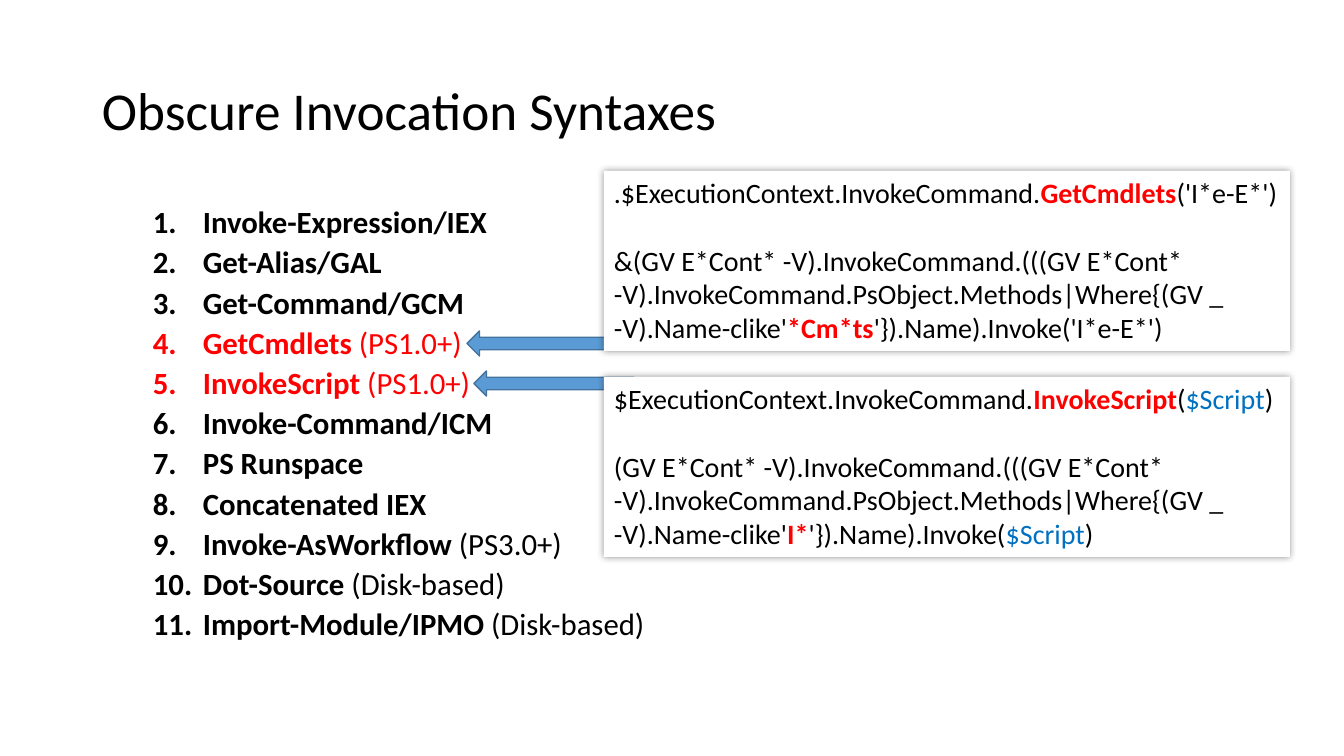
import pptx
import pptx.dml.color
import pptx.enum.shapes
import pptx.enum.text
import pptx.oxml.ns
import pptx.util
from lxml import etree

# Content
TITLE = "Obscure Invocation Syntaxes"
METHODS = [
    ("Invoke-Expression/IEX", ""),
    ("Get-Alias/GAL", ""),
    ("Get-Command/GCM", ""),
    ("GetCmdlets", " (PS1.0+)"),
    ("InvokeScript", " (PS1.0+)"),
    ("Invoke-Command/ICM", ""),
    ("PS Runspace", ""),
    ("Concatenated IEX", ""),
    ("Invoke-AsWorkflow", " (PS3.0+)"),
    ("Dot-Source", " (Disk-based)"),
    ("Import-Module/IPMO", " (Disk-based)"),
]
MARKED = ("GetCmdlets", "InvokeScript")
LOOKUP = ("(GV E*Cont* -V).InvokeCommand.(((GV E*Cont* -V).InvokeCommand."
          "PsObject.Methods|Where{(GV _ -V).Name-clike'")
# Each run is (text, colour name, bold)
SAMPLES = [
    [
        [(".$ExecutionContext.InvokeCommand.", "ink", False),
         ("GetCmdlets", "mark", True), ("('I*e-E*')", "ink", False)],
        [("&" + LOOKUP, "ink", False), ("*Cm*ts", "mark", True),
         ("'}).Name).Invoke('I*e-E*')", "ink", False)],
    ],
    [
        [("$ExecutionContext.InvokeCommand.", "ink", False),
         ("InvokeScript", "mark", True), ("(", "ink", False),
         ("$Script", "var", False), (")", "ink", False)],
        [(LOOKUP, "ink", False), ("I*", "mark", True),
         ("'}).Name).Invoke(", "ink", False),
         ("$Script", "var", False), (")", "ink", False)],
    ],
]

# Theme: colours and type sizes
THEME = {
    "font": "Calibri", "title": 38, "list": 22, "code": 20,
    "ink": "000000", "mark": "FF0000", "var": "0070C0",
    "paper": "FFFFFF", "arrow": "5B9BD5", "edge": "43739E",
}

# Layout in px
SCALE = 914400 / 100.8
TITLE_BOX = (92, 40, 1159, 146)
LIST_BOX = (92, 202, 1241, 480)
CODE_LEFT, CODE_TOP, CODE_W, CODE_H, CODE_STEP = 604, 171, 686, 180, 206
ARROW_TOP, ARROW_W, ARROW_H, ARROW_STEP = 331, 160, 25, 40
ARROW_LEFTS = (467, 474)
NUMBER_INDENT, NUMBER_HANG = 101, 50


def px(n):
    return round(n * SCALE)


def tint(name):
    return pptx.dml.color.RGBColor.from_string(THEME[name])


def node(parent, tag, **attrs):
    return etree.SubElement(parent, pptx.oxml.ns.qn(tag),
                            {key: str(val) for key, val in attrs.items()})


def write(shape, paras, size, gap=0, line=1.0, middle=False, numbered=False):
    frame = shape.text_frame
    frame.word_wrap = True
    anchor = pptx.enum.text.MSO_ANCHOR
    frame.vertical_anchor = anchor.MIDDLE if middle else anchor.TOP
    for i, runs in enumerate(paras):
        para = frame.add_paragraph() if i else frame.paragraphs[0]
        para.alignment = pptx.enum.text.PP_ALIGN.LEFT
        para.line_spacing = line
        if i:
            para.space_before = pptx.util.Pt(gap)
        if numbered:
            props = para._p.get_or_add_pPr()
            props.set("marL", str(px(NUMBER_INDENT)))
            props.set("indent", str(-px(NUMBER_HANG)))
            node(props, "a:buFont", typeface="+mj-lt")
            node(props, "a:buAutoNum", type="arabicPeriod")
        for text, color, bold in runs:
            run = para.add_run()
            run.text = text
            run.font.name = THEME["font"]
            run.font.size = pptx.util.Pt(THEME[size])
            run.font.bold = bold
            run.font.color.rgb = tint(color)


def draw(slide, kind, box, fill, edge=None):
    shape = slide.shapes.add_shape(kind, *map(px, box))
    shape.shadow.inherit = False
    shape.fill.solid()
    shape.fill.fore_color.rgb = tint(fill)
    if edge:
        shape.line.color.rgb = tint(edge)
        shape.line.width = pptx.util.Pt(1)
    else:
        shape.line.fill.background()
    return shape


def glow(shape):
    effects = shape._element.spPr.find(pptx.oxml.ns.qn("a:effectLst"))
    shadow = node(effects, "a:outerShdw", blurRad=pptx.util.Pt(5),
                  dist=0, dir=0, algn="ctr", rotWithShape=0)
    color = node(shadow, "a:srgbClr", val=THEME["ink"])
    node(color, "a:alpha", val=40000)


def main():
    deck = pptx.Presentation()
    deck.slide_width, deck.slide_height = px(1344), px(756)
    slide = deck.slides.add_slide(deck.slide_layouts[6])

    # Title
    head = slide.shapes.add_textbox(*map(px, TITLE_BOX))
    write(head, [[(TITLE, "ink", False)]], "title", line=0.9, middle=True)

    # Numbered list
    rows = []
    for name, note in METHODS:
        color = "mark" if name in MARKED else "ink"
        rows.append([(name, color, True)] +
                    ([(note, color, False)] if note else []))
    names = slide.shapes.add_textbox(*map(px, LIST_BOX))
    write(names, rows, "list", gap=5, line=0.9, numbered=True)

    # Code boxes, each with an arrow to its list entry
    kinds = pptx.enum.shapes.MSO_SHAPE
    for i, (left, code) in enumerate(zip(ARROW_LEFTS, SAMPLES)):
        draw(slide, kinds.LEFT_ARROW,
             (left, ARROW_TOP + i * ARROW_STEP, ARROW_W, ARROW_H),
             "arrow", "edge")
        panel = draw(slide, kinds.RECTANGLE,
                     (CODE_LEFT, CODE_TOP + i * CODE_STEP, CODE_W, CODE_H),
                     "paper")
        glow(panel)
        write(panel, code, "code", gap=24)

    deck.save("out.pptx")


if __name__ == "__main__":
    main()
